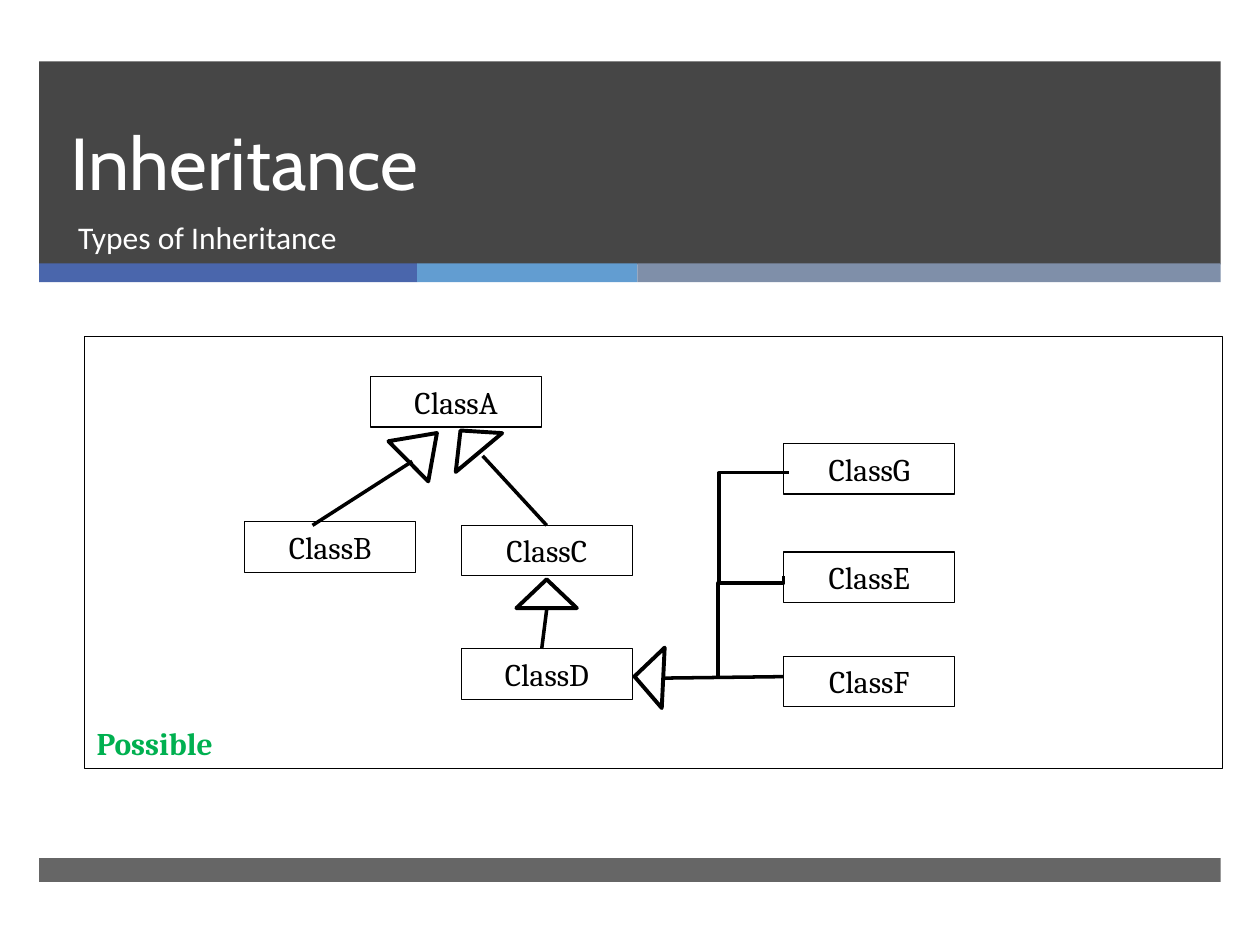
"""Build a slide showing a possible class inheritance diagram."""
from lxml.etree import SubElement
from pptx import Presentation
from pptx.dml.color import RGBColor
from pptx.enum.shapes import MSO_CONNECTOR, MSO_SHAPE
from pptx.enum.text import MSO_ANCHOR, MSO_AUTO_SIZE, PP_ALIGN
from pptx.oxml.ns import qn
from pptx.util import Cm, Pt

COLORS = {
    "band": "262626", "blue": "4A66AC", "sky": "629DD1", "slate": "7F8FA9",
    "white": "FFFFFF", "black": "000000", "green": "00B050",
}
CLASS_WIDTH, CLASS_HEIGHT = 3.45, 1.02
CLASSES = {
    "ClassA": (7.47, 7.59), "ClassB": (4.93, 10.52), "ClassC": (9.3, 10.59),
    "ClassD": (9.3, 13.08), "ClassE": (15.8, 11.13), "ClassF": (15.8, 13.23),
    "ClassG": (15.8, 8.94),
}
ARROWHEADS = [
    (8.86, 8.61, 1.22, 0.58, 320.1), (7.95, 8.61, 1.14, 0.81, 45.3),
    (10.41, 11.68, 1.22, 0.58, 0), (12.47, 13.36, 1.22, 0.58, 272.8),
]
STRAIGHT_LINES = [
    ((9.73, 9.19), (11.02, 10.59)), ((8.31, 9.3), (6.3, 10.59)),
    ((11.02, 12.29), (10.92, 13.08)), ((13.36, 13.67), (15.8, 13.64)),
]
ELBOWS = [
    ((14.48, 13.64), (15.8, 11.61), 0.93),
    ((14.5, 11.76), (15.9, 9.53), 1),
]


def color(name):
    return RGBColor.from_string(COLORS[name])


def write(shape, text, font, size, fill, align=PP_ALIGN.LEFT, bold=False):
    frame = shape.text_frame
    frame.text = text
    frame.word_wrap = True
    frame.auto_size = MSO_AUTO_SIZE.NONE
    para = frame.paragraphs[0]
    para.alignment = align
    para.space_before = Pt(0)
    span = para.runs[0]
    span.font.name = font
    span.font.size = Pt(size)
    span.font.bold = bold
    span.font.color.rgb = color(fill)


def place(shape, left, top, width, height):
    shape.left, shape.top = Cm(left), Cm(top)
    shape.width, shape.height = Cm(width), Cm(height)


def add_band(slide, left, top, width, height, fill, opacity=100):
    band = slide.shapes.add_shape(
        MSO_SHAPE.RECTANGLE, Cm(left), Cm(top), Cm(width), Cm(height))
    band.shadow.inherit = False
    band.fill.solid()
    band.fill.fore_color.rgb = color(fill)
    band.line.fill.background()
    if opacity < 100:
        shade = band._element.spPr.find(qn("a:solidFill"))[0]
        SubElement(shade, qn("a:alpha")).set("val", str(opacity * 1000))


def add_outline(slide, kind, left, top, width, height, weight=0.75):
    shape = slide.shapes.add_shape(
        kind, Cm(left), Cm(top), Cm(width), Cm(height))
    shape.shadow.inherit = False
    shape.fill.background()
    shape.line.color.rgb = color("black")
    shape.line.width = Pt(weight)
    return shape


def add_line(slide, start, end, kind=MSO_CONNECTOR.STRAIGHT):
    points = [Cm(value) for value in (*start, *end)]
    line = slide.shapes.add_connector(kind, *points)
    line.line.color.rgb = color("black")
    line.line.width = Pt(2)
    SubElement(line._element.spPr, qn("a:effectLst"))
    return line


def add_elbow(slide, start, end, bend):
    """Run up from start, turn right at the bend share of the rise, end upward."""
    middle_x, middle_y = (start[0] + end[0]) / 2, (start[1] + end[1]) / 2
    half_rise, half_run = (start[1] - end[1]) / 2, (end[0] - start[0]) / 2
    elbow = add_line(
        slide, (middle_x + half_rise, middle_y + half_run),
        (middle_x - half_rise, middle_y - half_run), MSO_CONNECTOR.ELBOW)
    properties = elbow._element.spPr
    properties.find(qn("a:xfrm")).set("rot", str(90 * 60000))
    guides = properties.find(qn("a:prstGeom")).find(qn("a:avLst"))
    guide = SubElement(guides, qn("a:gd"))
    guide.set("name", "adj1")
    guide.set("fmla", f"val {round(bend * 100000)}")


def add_header(slide):
    add_band(slide, 0.79, 1.24, 23.82, 4.09, "band", 85)
    left = 0.79
    for width, fill in ((7.62, "blue"), (4.44, "sky"), (11.76, "slate")):
        add_band(slide, left, 5.31, width, 0.38, fill)
        left += width
    add_band(slide, 0.79, 17.3, 23.82, 0.48, "band", 70)

    title, subtitle = slide.placeholders
    place(title, 1.17, 1.24, 21.69, 3.02)
    write(title, "Inheritance", "Cabin", 42, "white")
    title.text_frame.vertical_anchor = MSO_ANCHOR.BOTTOM
    title.text_frame.paragraphs[0].line_spacing = Pt(46)
    place(subtitle, 1.32, 4.27, 21.54, 1.35)
    write(subtitle, "Types of Inheritance", "Calibri", 18, "white")
    subtitle.text_frame.vertical_anchor = MSO_ANCHOR.TOP
    for placeholder in (title, subtitle):
        slide.shapes._spTree.append(placeholder._element)


def add_diagram(slide):
    panel = add_outline(slide, MSO_SHAPE.RECTANGLE, 1.7, 6.78, 22.94, 8.71)
    write(panel, "Possible", "Cambria", 18, "green", bold=True)
    panel.text_frame.vertical_anchor = MSO_ANCHOR.BOTTOM
    for name, (left, top) in CLASSES.items():
        box = add_outline(slide, MSO_SHAPE.RECTANGLE, left, top,
                          CLASS_WIDTH, CLASS_HEIGHT)
        write(box, name, "Cambria", 18, "black", PP_ALIGN.CENTER)
        box.text_frame.vertical_anchor = MSO_ANCHOR.TOP
    for *bounds, angle in ARROWHEADS:
        head = add_outline(slide, MSO_SHAPE.ISOSCELES_TRIANGLE, *bounds, 2.25)
        head.rotation = angle
    for start, end in STRAIGHT_LINES:
        add_line(slide, start, end)
    for start, end, bend in ELBOWS:
        add_elbow(slide, start, end, bend)


def main():
    deck = Presentation()
    deck.slide_width, deck.slide_height = Cm(25.4), Cm(19.05)
    page = deck.slides.add_slide(deck.slide_layouts[0])
    add_header(page)
    add_diagram(page)
    deck.save("out.pptx")


if __name__ == "__main__":
    main()
